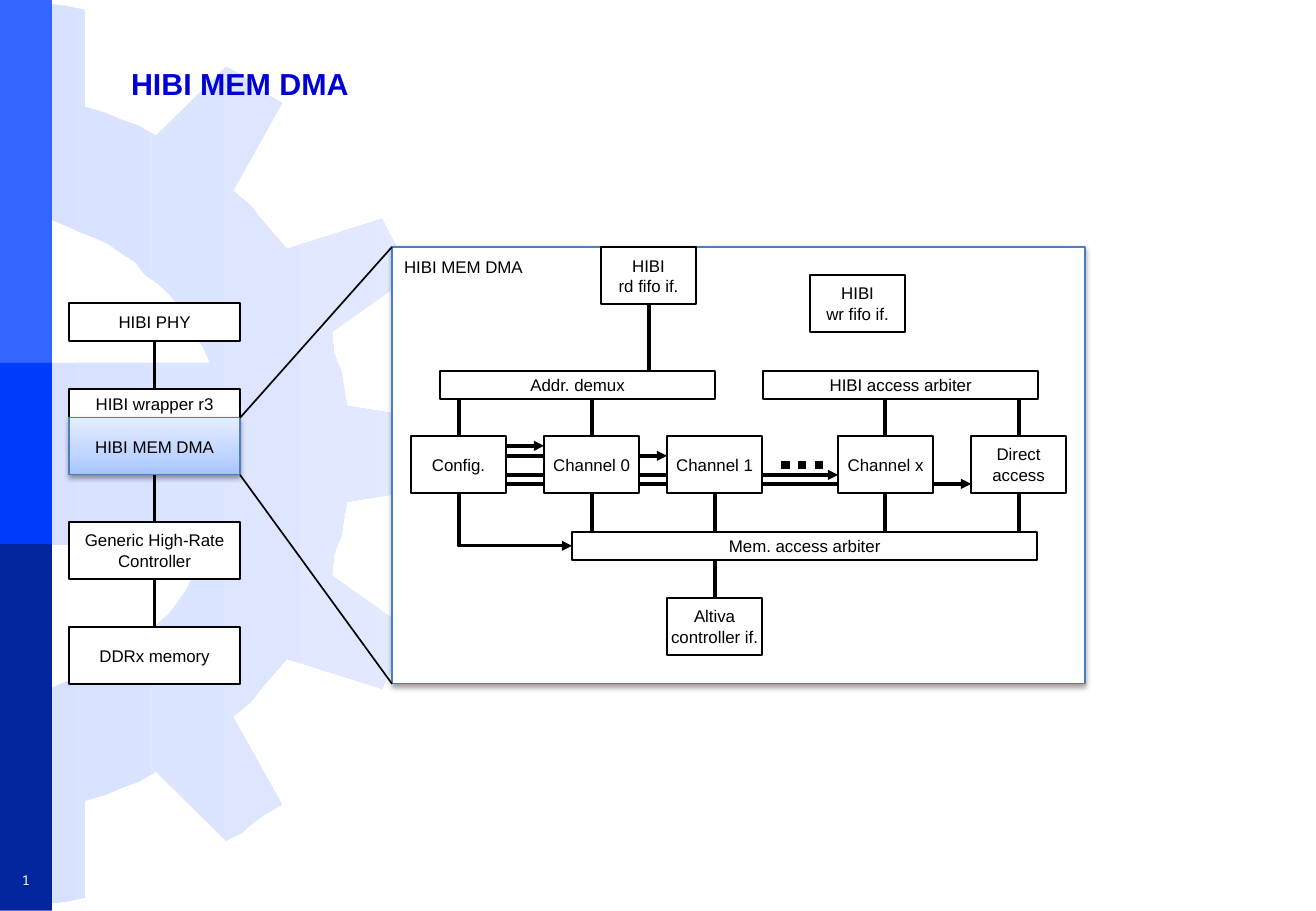
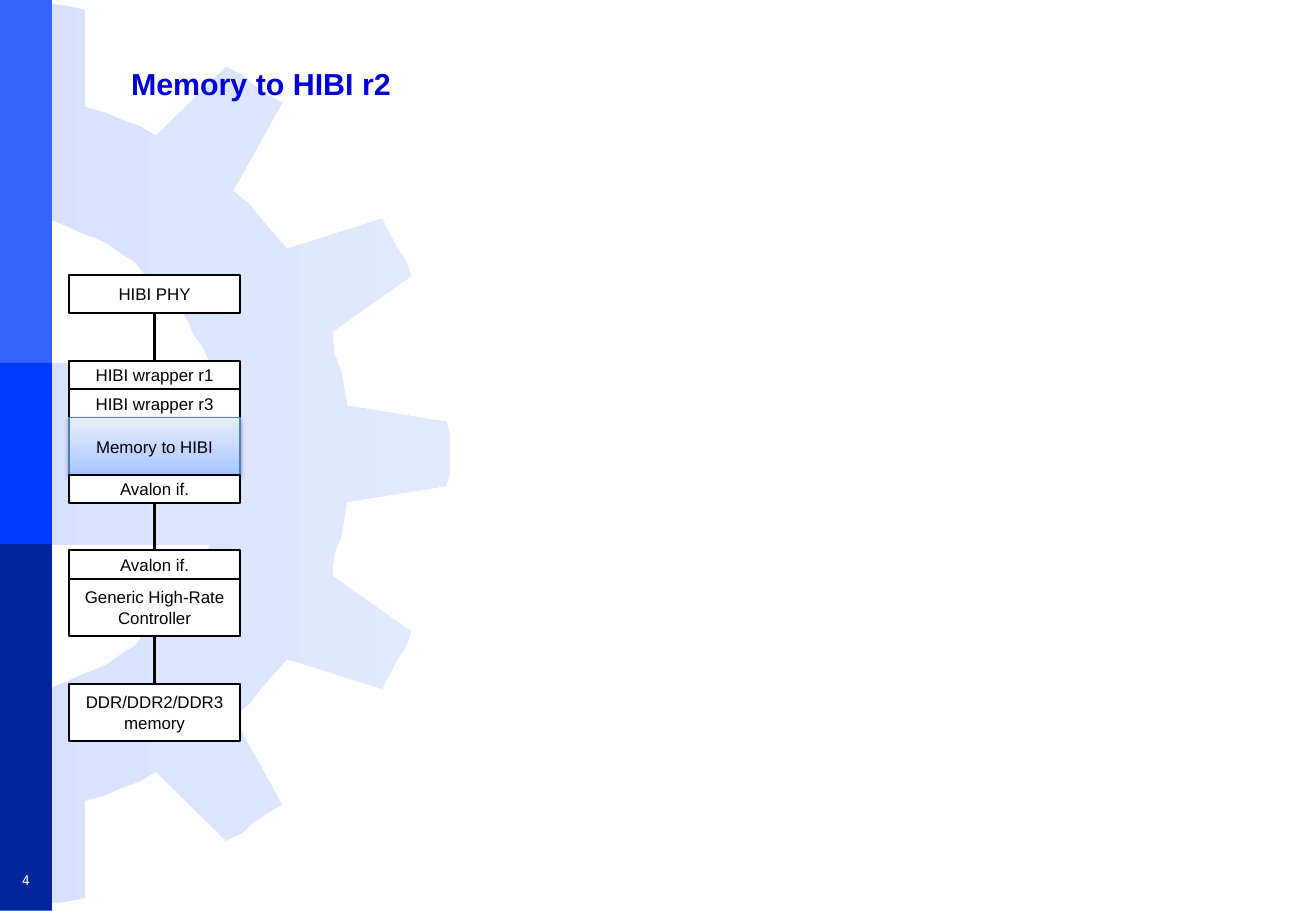
import pptx
import pptx.util
import pptx.dml.color
import pptx.enum.shapes
import pptx.enum.text
import pptx.enum.dml
import pptx.oxml
import pptx.oxml.ns
import lxml.etree

BANDS = [(0, 371, "band_top"), (542, 369, "band_bottom"), (363, 181, "band_mid")]
GEAR_HALF = [
    (0, 363), (210, 363), (203, 347), (194, 335), (188, 321), (179, 307),
    (169, 294), (158, 284), (145, 275), (135, 262), (122, 254), (108, 244),
    (95, 238), (79, 232), (66, 226), (51, 220), (34, 219), (17, 214),
    (17, 0), (35, 1), (51, 4), (67, 6), (85, 10), (85, 107), (106, 113),
    (122, 120), (139, 126), (156, 136), (226, 67), (242, 75), (253, 85),
    (266, 94), (282, 103), (233, 191), (250, 205), (261, 219), (273, 233),
    (287, 249), (382, 219), (389, 233), (397, 248), (405, 260), (411, 276),
    (332, 332), (334, 354), (341, 371), (344, 389), (347, 406), (446, 422),
    (450, 436), (450, 454),
]
GEAR_MIRROR = 908

SLIDES = [
    {"title": "HIBI MEM DMA", "number": "1", "core": "HIBI MEM DMA",
     "stack": [("HIBI PHY", 303, 38), ("HIBI wrapper r3", 389, 29),
               ("HIBI MEM DMA", 418, 57),
               ("Generic High-Rate Controller", 522, 57),
               ("DDRx memory", 627, 57)]},
    {"title": "Memory to HIBI r2", "number": "4", "core": "Memory to HIBI",
     "stack": [("HIBI PHY", 275, 38), ("HIBI wrapper r1", 361, 28),
               ("HIBI wrapper r3", 389, 29), ("Memory to HIBI", 418, 57),
               ("Avalon if.", 475, 28), ("Avalon if.", 550, 29),
               ("Generic High-Rate Controller", 579, 57),
               ("DDR/DDR2/DDR3 memory", 684, 57)]},
]
STACK_X, STACK_W = 69, 171

PANEL = (392, 247, 693, 437)
PANEL_LABEL = "HIBI MEM DMA"
UNIT_W, UNIT_H, BAR_H = 95, 57, 28
ROW_Y, BAR_Y, MEM_Y = 436, 371, 532
UNITS = [("Config.", 411, ROW_Y), ("Channel 0", 544, ROW_Y),
         ("Channel 1", 667, ROW_Y), ("Channel x", 838, ROW_Y),
         ("Direct\naccess", 971, ROW_Y), ("HIBI\nrd fifo if.", 601, 247),
         ("HIBI\nwr fifo if.", 810, 275), ("Altiva\ncontroller if.", 667, 598)]
BARS = [("Addr. demux", 440, BAR_Y, 275), ("HIBI access arbiter", 763, BAR_Y, 275),
        ("Mem. access arbiter", 572, MEM_Y, 465)]
ABOVE_ROW = [459, 592, 885, 1019]
BELOW_ROW = [592, 715, 885, 1019]
CONFIG_ARROWS = [(446, 544), (456, 667), (475, 838), (484, 971)]
DOTS = (781, 465, 829, 465)
CONFIG_TO_MEM = (459, 493, 572, 546)

THEME = {
    "band_top": "3366FF", "band_mid": "003CFC", "band_bottom": "00259C",
    "gear": [(0, "D7E1FF"), (100, "E3EAFF")],
    "core": [(0, "A4C4FF"), (35, "BFD4FF"), (100, "E6EEFF")],
    "white": "FFFFFF", "ink": "000000", "edge": "4B7EBC",
    "title": {"size": 18, "name": "Arial", "color": "0000D6", "bold": True},
    "label": {"size": 10, "name": "Arial", "color": "000000"},
    "number": {"size": 8, "name": "Noto Sans Mono", "color": "FFFFFF"},
    "thin": 0.75, "line": 1, "link": 2, "dots": 5,
}
PX = 914400 / 121.5
LEFT, CENTER = pptx.enum.text.PP_ALIGN.LEFT, pptx.enum.text.PP_ALIGN.CENTER
TOP, MIDDLE = pptx.enum.text.MSO_ANCHOR.TOP, pptx.enum.text.MSO_ANCHOR.MIDDLE
KIND = pptx.enum.shapes.MSO_CONNECTOR
qn = pptx.oxml.ns.qn


def emu(*lengths):
    return [round(v * PX) for v in lengths]


def rgb(code):
    return pptx.dml.color.RGBColor.from_string(code)


def add_child(parent, tag, **attrs):
    return lxml.etree.SubElement(parent, qn(tag), attrs)


def apply(obj, values):
    for name, value in values.items():
        setattr(obj, name, value)


def write(sp, text, style, align=CENTER, anchor=MIDDLE, inset=(0, 0), wrap=False):
    tf = sp.text_frame
    x, y = emu(*inset)
    apply(tf, {"text": text, "word_wrap": wrap, "vertical_anchor": anchor,
               "margin_left": x, "margin_right": x,
               "margin_top": y, "margin_bottom": y})
    look = THEME[style]
    for p in tf.paragraphs:
        p.alignment = align
        for r in p.runs:
            apply(r.font, {"size": pptx.util.Pt(look["size"]), "name": look["name"],
                           "bold": look.get("bold", False)})
            r.font.color.rgb = rgb(look["color"])


def paint(sp, fill, line=None, width=1, angle=0):
    sp.shadow.inherit = False
    if isinstance(fill, str):
        sp.fill.solid()
        sp.fill.fore_color.rgb = rgb(fill)
    else:
        sp.fill.gradient()
        sp.fill.gradient_angle = angle
        stops = sp._element.spPr.find(".//" + qn("a:gsLst"))
        stops[:] = []
        for pos, code in fill:
            gs = add_child(stops, "a:gs", pos=str(pos * 1000))
            add_child(gs, "a:srgbClr", val=code)
    if line:
        sp.line.color.rgb = rgb(line)
        sp.line.width = pptx.util.Pt(width)
    else:
        sp.line.fill.background()


def add_rect(s, box, fill, line=None, width=1, angle=0):
    sp = s.shapes.add_shape(pptx.enum.shapes.MSO_SHAPE.RECTANGLE, *emu(*box))
    paint(sp, fill, line, width, angle)
    return sp


def add_shadow(sp):
    effects = sp._element.spPr.find(qn("a:effectLst"))
    shadow = add_child(effects, "a:outerShdw", blurRad="40000", dist="20000",
                       dir="5400000", rotWithShape="0")
    color = add_child(shadow, "a:srgbClr", val=THEME["ink"])
    add_child(color, "a:alpha", val="38000")


def add_box(s, text, box, inset=(0, 0), wrap=False):
    sp = add_rect(s, box, THEME["white"], THEME["ink"], THEME["line"])
    write(sp, text, "label", inset=inset, wrap=wrap)
    return sp


def add_text(s, box, text, style, **options):
    write(s.shapes.add_textbox(*emu(*box)), text, style, **options)


def add_line(s, points, width=THEME["link"], arrow=False, kind=KIND.STRAIGHT):
    c = s.shapes.add_connector(kind, *emu(*points))
    c.line.color.rgb = rgb(THEME["ink"])
    c.line.width = pptx.util.Pt(width)
    if arrow:
        add_child(c.line._get_or_add_ln(), "a:tailEnd", type="triangle")
    add_child(c._element.spPr, "a:effectLst")
    return c


def add_down_then_right(s, x1, y1, x2, y2):
    cx, cy = (x1 + x2) / 2, (y1 + y2) / 2
    half_w, half_h = (y2 - y1) / 2, (x2 - x1) / 2
    c = add_line(s, (cx + half_w, cy - half_h, cx - half_w, cy + half_h),
                 arrow=True, kind=KIND.ELBOW)
    spPr = c._element.spPr
    spPr.find(qn("a:xfrm")).set("rot", "16200000")
    spPr.find(qn("a:prstGeom")).set("prst", "bentConnector2")


def add_frame(s, title, number):
    outline = GEAR_HALF + [(x, GEAR_MIRROR - y) for x, y in reversed(GEAR_HALF)]
    builder = s.shapes.build_freeform(*outline[0], scale=PX)
    builder.add_line_segments(outline[1:], close=True)
    paint(builder.convert_to_shape(), THEME["gear"])
    for y, h, color in BANDS:
        add_rect(s, (0, y, 52, h), THEME[color])
    add_text(s, (119, 26, 1141, 114), title, "title", align=LEFT,
             inset=(12, 6), wrap=True)
    add_text(s, (0, 864, 52, 32), number, "number", inset=(12, 6))


def add_stack(s, stack, core):
    above, above_end = None, 0
    for text, y, h in stack:
        box = (STACK_X, y, STACK_W, h)
        if text == core:
            sp = add_rect(s, box, THEME["core"], THEME["edge"], THEME["thin"], 90)
            add_shadow(sp)
            write(sp, text, "label")
        elif h < 30:
            sp = add_box(s, text, box)
        else:
            sp = add_box(s, text, box, (12, 6), True)
        if above and y > above_end:
            mid = STACK_X + STACK_W / 2
            c = add_line(s, (mid, above_end, mid, y))
            c.begin_connect(above, 2)
            c.end_connect(sp, 0)
        above, above_end = sp, y + h


def add_dma_detail(s):
    x, y, w, h = PANEL
    panel = add_rect(s, PANEL, THEME["white"], THEME["edge"], THEME["thin"])
    add_shadow(panel)
    write(panel, PANEL_LABEL, "label", align=LEFT, anchor=TOP, inset=(12, 10))
    for core_y, panel_y in [(418, y), (475, y + h)]:
        add_line(s, (STACK_X + STACK_W, core_y, x, panel_y), THEME["line"])
    dots = add_line(s, DOTS, THEME["dots"])
    dots.line.dash_style = pptx.enum.dml.MSO_LINE.ROUND_DOT
    row_end = ROW_Y + UNIT_H
    links = [(cx, BAR_Y + BAR_H, ROW_Y) for cx in ABOVE_ROW]
    links += [(cx, row_end, MEM_Y) for cx in BELOW_ROW]
    links += [(649, 304, BAR_Y), (715, MEM_Y + BAR_H, 598)]
    for cx, start, end in links:
        add_line(s, (cx, start, cx, end))
    for cy, end in CONFIG_ARROWS:
        add_line(s, (506, cy, end, cy), arrow=True)
    add_down_then_right(s, *CONFIG_TO_MEM)
    for text, bx, by, bw in BARS:
        add_box(s, text, (bx, by, bw, BAR_H))
    for text, ux, uy in UNITS:
        add_box(s, text, (ux, uy, UNIT_W, UNIT_H))


prs = pptx.Presentation()
apply(prs, {"slide_width": pptx.util.Inches(10.83),
            "slide_height": pptx.util.Inches(7.5)})
for content in SLIDES:
    s = prs.slides.add_slide(prs.slide_layouts[6])
    add_frame(s, content["title"], content["number"])
    add_stack(s, content["stack"], content["core"])
    if content is SLIDES[0]:
        add_dma_detail(s)
prs.save("out.pptx")
